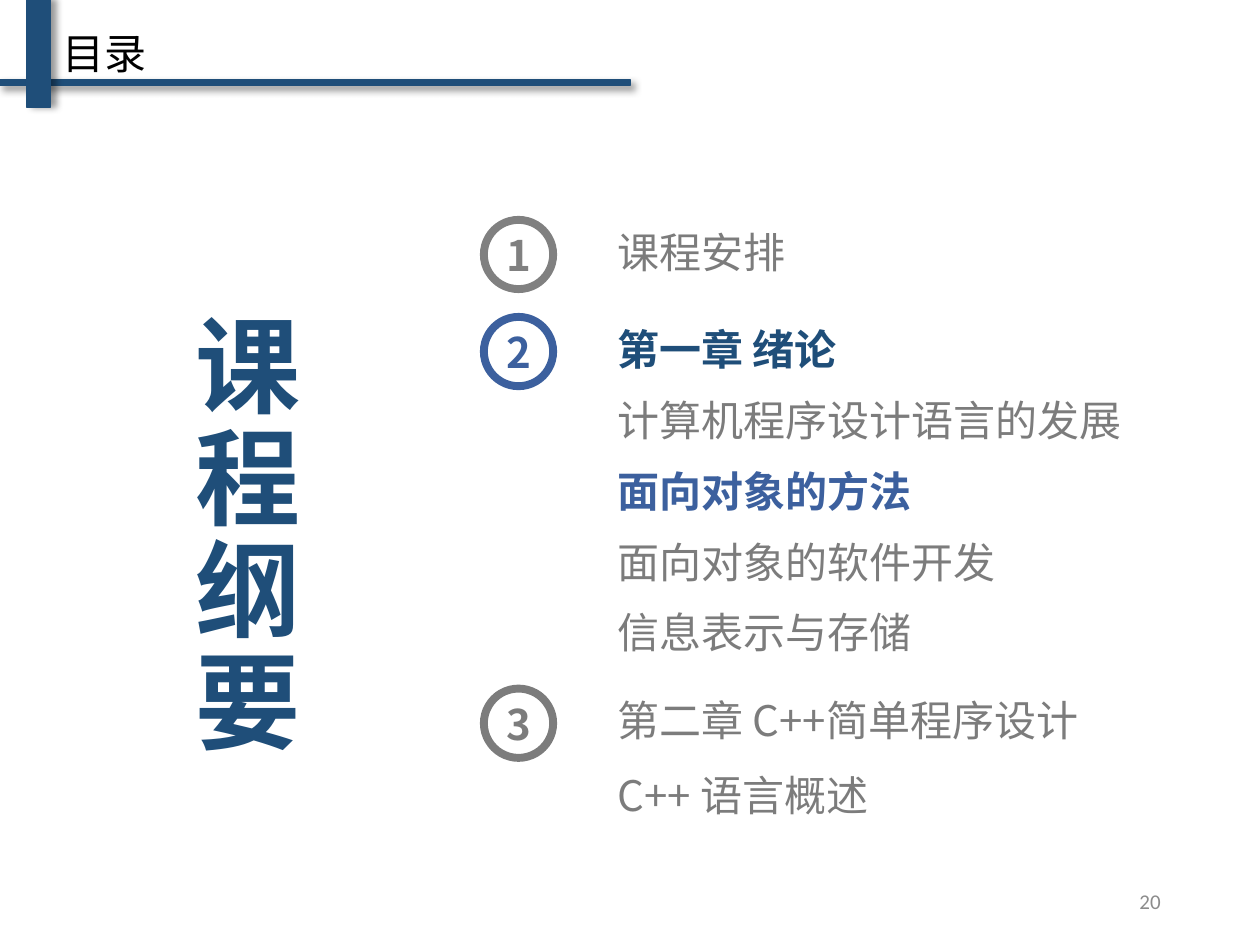
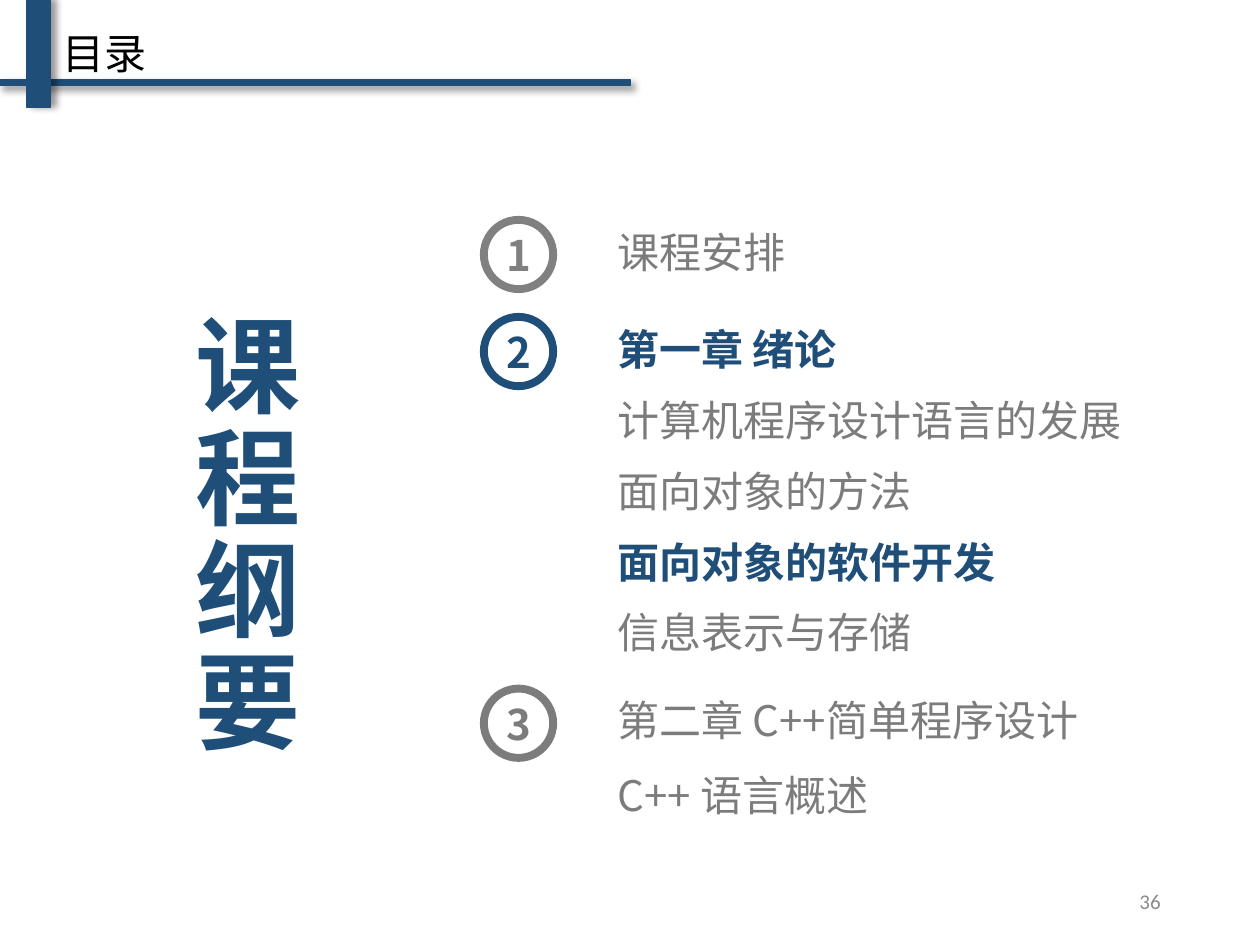
from dataclasses import dataclass

from lxml import etree
from pptx import Presentation
from pptx.dml.color import RGBColor
from pptx.enum.shapes import MSO_SHAPE
from pptx.enum.text import MSO_ANCHOR, PP_ALIGN
from pptx.oxml.ns import qn
from pptx.util import Inches, Pt

RECT, OVAL = MSO_SHAPE.RECTANGLE, MSO_SHAPE.OVAL
LEFT, CENTER, RIGHT = PP_ALIGN.LEFT, PP_ALIGN.CENTER, PP_ALIGN.RIGHT
MIDDLE = MSO_ANCHOR.MIDDLE
COLUMNS, ROWS = 100, 75  # grid cells across and down the slide


@dataclass(frozen=True)
class Theme:
    navy: str = "1F4E79"
    blue: str = "3C609E"
    grey: str = "808080"
    dim: str = "7C7C7C"
    page: str = "8C8C8C"
    black: str = "000000"
    font: str = "Noto Sans CJK SC"
    page_font: str = "Calibri"
    body_size: int = 24
    banner_size: int = 60
    page_size: int = 12


class Deck:
    """Holds the theme and the current slide; lengths are grid cells."""

    def __init__(self, theme):
        self.theme = theme
        self.prs = Presentation()
        self.prs.slide_width, self.prs.slide_height = Inches(10), Inches(7.5)
        self.s = None

    def new_slide(self):
        self.s = self.prs.slides.add_slide(self.prs.slide_layouts[6])

    def cells(self, left, top, width, height):
        col, row = self.prs.slide_width / COLUMNS, self.prs.slide_height / ROWS
        return [round(n) for n in (left * col, top * row, width * col, height * row)]

    def set_text(self, tf, text, color, size=None, bold=False, align=LEFT,
                 spacing=None, font=None):
        tf.text = text
        tf.word_wrap = True
        tf.vertical_anchor = MIDDLE
        p = tf.paragraphs[0]
        p.alignment = align
        if spacing:
            p.line_spacing = spacing
        r = p.runs[0]
        r.font.name = font or self.theme.font
        r.font.size = Pt(size or self.theme.body_size)
        r.font.bold = bold
        r.font.color.rgb = RGBColor.from_string(color)
        ea = etree.Element(qn("a:ea"), typeface=r.font.name)
        r.font._element.find(qn("a:latin")).addnext(ea)

    def text(self, box, text, color, **style):
        sp = self.s.shapes.add_textbox(*self.cells(*box))
        self.set_text(sp.text_frame, text, color, **style)
        return sp

    def shape(self, kind, box, line, weight, fill=None):
        sp = self.s.shapes.add_shape(kind, *self.cells(*box))
        sp.shadow.inherit = False
        if fill:
            sp.fill.solid()
            sp.fill.fore_color.rgb = RGBColor.from_string(fill)
        else:
            sp.fill.background()
        sp.line.color.rgb = RGBColor.from_string(line)
        sp.line.width = Pt(weight)
        return sp

    def bar(self, box, weight, angle):
        """A navy bar with a soft shadow falling at the given angle."""
        sp = self.shape(RECT, box, self.theme.navy, weight, self.theme.navy)
        effects = sp._element.spPr.find(qn("a:effectLst"))
        shadow = etree.SubElement(
            effects, qn("a:outerShdw"), blurRad=str(Pt(4)), dist=str(Pt(3)),
            dir=str(angle * 60000), algn="tl", rotWithShape="0")
        tint = etree.SubElement(shadow, qn("a:srgbClr"), val=self.theme.black)
        etree.SubElement(tint, qn("a:alpha"), val="40000")

    def badge(self, number, middle, color):
        size = 5.5
        sp = self.shape(OVAL, (38.4, middle - size / 2, size, size), color, 4.5)
        tf = sp.text_frame
        tf.margin_left = tf.margin_right = tf.margin_top = tf.margin_bottom = 0
        self.set_text(tf, str(number), color, bold=True, align=CENTER)

    def frame(self, title, page):
        """Title, bars and page number."""
        t = self.theme
        self.bar((0, 6.3, 50, 0.5), weight=1, angle=45)
        self.bar((2.1, 0, 1.9, 8.5), weight=0.75, angle=0)
        self.text((4, 1.6, 28.9, 5.1), title, t.black)
        self.text((70.6, 69.5, 22.5, 4), str(page), t.page, size=t.page_size,
                  align=RIGHT, font=t.page_font)

    def banner(self, text):
        """Large heading whose narrow box holds one character a line."""
        t = self.theme
        sp = self.text((10.8, 18.3, 17.7, 47.6), text, t.navy, size=t.banner_size,
                       bold=True, align=CENTER, spacing=Pt(64))
        sp.text_frame.margin_top = Inches(0.17)

    def chapter(self, number, top, step, lines, badge_color, marked):
        """A numbered badge and its lines; marked maps a line to its colour."""
        height = 6.2
        self.badge(number, top + height / 2, badge_color)
        for i, line in enumerate(lines):
            self.text((48, top + i * step, 43.8, height), line,
                      marked.get(line, self.theme.dim), bold=line in marked,
                      spacing=0.9)


# Chapters: top row, row step, lines
CHAPTERS = [
    (17.1, 0, ["课程安排"]),
    (24.8, 5.63, ["第一章 绪论", "计算机程序设计语言的发展", "面向对象的方法",
                  "面向对象的软件开发", "信息表示与存储"]),
    (54.3, 5.9, ["第二章 C++简单程序设计", "C++ 语言概述"]),
]
CURRENT_CHAPTER = 2


def agenda(deck, page, current_line, accent):
    t = deck.theme
    deck.new_slide()
    deck.frame("目录", page)
    deck.banner("课程纲要")
    marked = {"第一章 绪论": t.navy, current_line: accent}
    badge_colors = {1: t.grey, CURRENT_CHAPTER: accent}
    for number, (top, step, lines) in enumerate(CHAPTERS, 1):
        deck.chapter(number, top, step, lines, badge_colors.get(number, t.dim), marked)


def main():
    theme = Theme()
    deck = Deck(theme)
    agenda(deck, 20, "面向对象的方法", theme.blue)
    agenda(deck, 36, "面向对象的软件开发", theme.navy)
    deck.prs.save("out.pptx")


if __name__ == "__main__":
    main()
